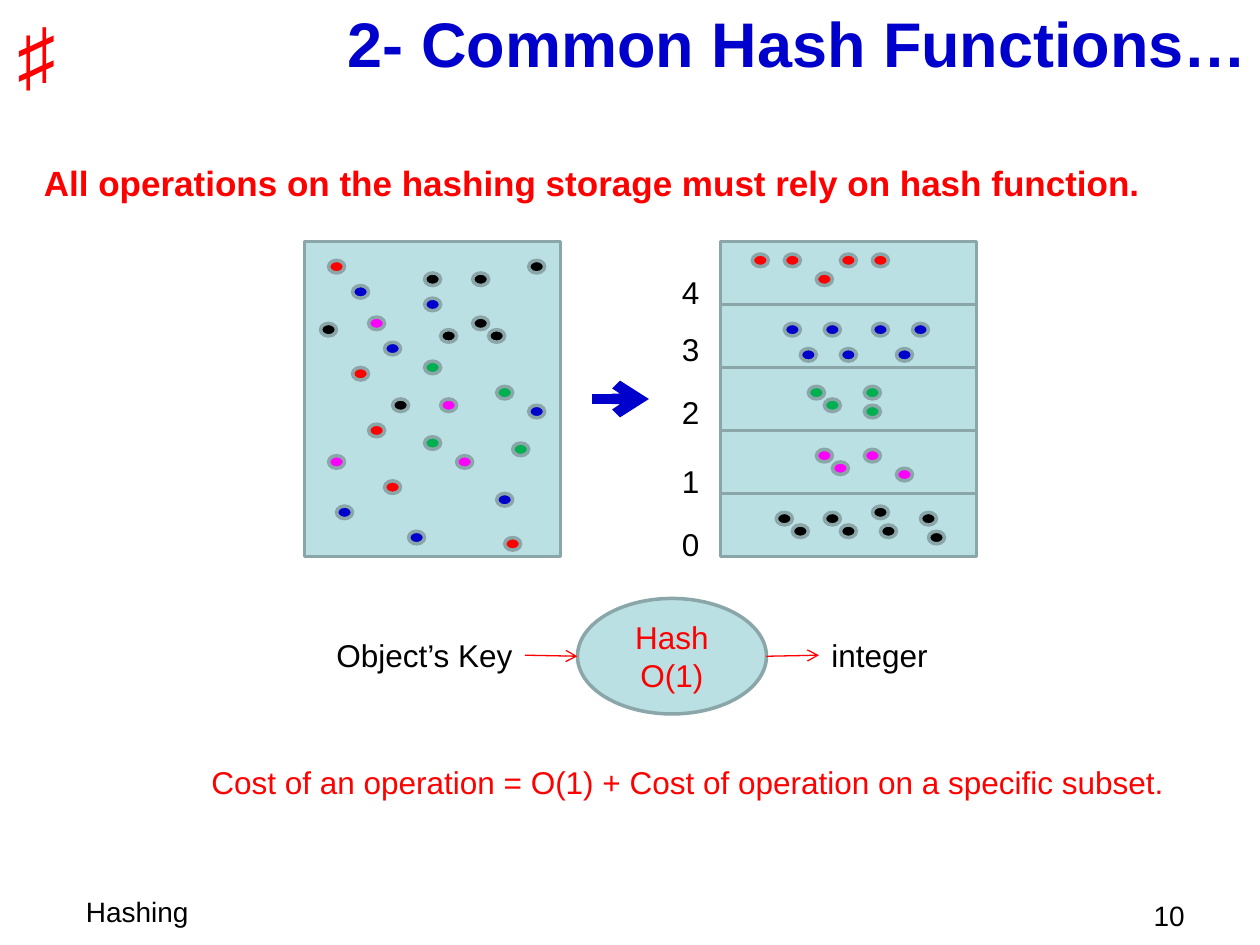
import typing
from dataclasses import dataclass

import lxml.etree
import pptx
import pptx.dml.color
import pptx.enum.shapes
import pptx.enum.text
import pptx.oxml.ns
import pptx.util

RGBColor = pptx.dml.color.RGBColor
Shape = pptx.enum.shapes.MSO_SHAPE
Align = pptx.enum.text.PP_ALIGN
Anchor = pptx.enum.text.MSO_ANCHOR

RED = RGBColor(0xFF, 0x00, 0x00)
BLUE = RGBColor(0x00, 0x00, 0xCC)
GREEN = RGBColor(0x00, 0xB0, 0x50)
MAGENTA = RGBColor(0xFF, 0x00, 0xFF)
BLACK = RGBColor(0x00, 0x00, 0x00)
PALE = RGBColor(0xBB, 0xE0, 0xE3)
OUTLINE = RGBColor(0x8A, 0xA6, 0xA8)

SLIDE_COLS, SLIDE_ROWS = 120, 90
CELL = pptx.util.Inches(10) / SLIDE_COLS

STORE_TOP, STORE_WIDTH, STORE_HEIGHT = 23, 24.4, 30
UNSORTED_LEFT, BUCKETS_LEFT = 29, 68.6
DOT_COL, DOT_ROW = STORE_WIDTH / 32, STORE_HEIGHT / 50


@dataclass(frozen=True)
class Area:
    col: float
    row: float
    cols: float
    rows: float

    def lengths(self) -> list[int]:
        return [grid(n) for n in (self.col, self.row, self.cols, self.rows)]


@dataclass(frozen=True)
class Style:
    size: int
    color: RGBColor = BLACK
    align: Align = Align.LEFT
    bold: bool = False
    font: str = "Arial"


@dataclass(frozen=True)
class Bucket:
    key: str
    key_row: float
    color: RGBColor
    scattered: tuple
    collected: tuple


BUCKETS = (
    Bucket("4", 25.4, RED,
           ((3, 3), (6, 20), (8, 29), (10, 38), (25, 47)),
           ((12, 5), (8, 2), (4, 2), (15, 2), (19, 2))),
    Bucket("3", 30.8, BLUE,
           ((6, 7), (28, 26), (13, 46), (4, 42), (24, 40), (15, 9), (10, 16)),
           ((8, 3), (19, 3), (15, 7), (22, 7), (24, 3), (10, 7), (13, 3))),
    Bucket("2", 36.8, GREEN,
           ((15, 19), (15, 31), (24, 23), (26, 32)),
           ((11, 3), (18, 3), (13, 5), (18, 6))),
    Bucket("1", 43.4, MAGENTA,
           ((8, 12), (3, 34), (17, 25), (19, 34)),
           ((12, 3), (18, 3), (14, 5), (22, 6))),
    Bucket("0", 49.4, BLACK,
           ((2, 13), (11, 25), (15, 5), (17, 14), (28, 3), (21, 12), (21, 5), (23, 14)),
           ((7, 3), (25, 3), (9, 5), (26, 6), (13, 3), (19, 2), (15, 5), (20, 5))),
)


def grid(cells: float) -> int:
    return round(cells * CELL)


def write(frame: typing.Any, lines: typing.Sequence[str], style: Style,
          anchor: Anchor = Anchor.TOP) -> None:
    frame.word_wrap = True
    frame.auto_size = pptx.enum.text.MSO_AUTO_SIZE.NONE
    frame.vertical_anchor = anchor
    for index, line in enumerate(lines):
        paragraph = frame.add_paragraph() if index else frame.paragraphs[0]
        paragraph.alignment = style.align
        run = paragraph.add_run()
        run.text = line
        run.font.name = style.font
        run.font.size = pptx.util.Pt(style.size)
        run.font.bold = style.bold
        run.font.color.rgb = style.color


def add_label(shapes: typing.Any, area: Area, text: str, style: Style) -> typing.Any:
    label = shapes.add_textbox(*area.lengths())
    write(label.text_frame, [text], style)
    return label


def add_outlined(shapes: typing.Any, kind: Shape, area: Area, fill: RGBColor) -> typing.Any:
    outlined = shapes.add_shape(kind, *area.lengths())
    outlined.shadow.inherit = False
    outlined.fill.solid()
    outlined.fill.fore_color.rgb = fill
    outlined.line.color.rgb = OUTLINE
    outlined.line.width = pptx.util.Pt(2)
    return outlined


def add_dots(shapes: typing.Any, left: float, top: float, spots: tuple, color: RGBColor) -> None:
    for col, row in spots:
        area = Area(left + col * DOT_COL, top + row * DOT_ROW, 2 * DOT_COL, 2 * DOT_ROW)
        add_outlined(shapes, Shape.OVAL, area, color)


def add_arrow(shapes: typing.Any, start: tuple, end: tuple, color: RGBColor,
              width: float) -> typing.Any:
    arrow = shapes.add_connector(pptx.enum.shapes.MSO_CONNECTOR.STRAIGHT,
                                 *(grid(n) for n in (*start, *end)))
    arrow.line.color.rgb = color
    arrow.line.width = pptx.util.Pt(width)
    qn = pptx.oxml.ns.qn
    lxml.etree.SubElement(arrow.line._get_or_add_ln(), qn("a:tailEnd"), type="arrow")
    lxml.etree.SubElement(arrow._element.spPr, qn("a:effectLst"))
    return arrow


def draw_storage(shapes: typing.Any) -> None:
    add_outlined(shapes, Shape.RECTANGLE,
                 Area(UNSORTED_LEFT, STORE_TOP, STORE_WIDTH, STORE_HEIGHT), PALE)
    bucket_height = STORE_HEIGHT / len(BUCKETS)
    for index, bucket in enumerate(BUCKETS):
        top = STORE_TOP + index * bucket_height
        add_outlined(shapes, Shape.RECTANGLE,
                     Area(BUCKETS_LEFT, top, STORE_WIDTH, bucket_height), PALE)
        add_dots(shapes, BUCKETS_LEFT, top, bucket.collected, bucket.color)
        add_dots(shapes, UNSORTED_LEFT, STORE_TOP, bucket.scattered, bucket.color)
        add_label(shapes, Area(63.2, bucket.key_row, 4.6, 3), bucket.key,
                  Style(18, align=Align.RIGHT))
    add_arrow(shapes, (56.4, 38), (61.8, 38), BLUE, 6)


def draw_hash_flow(shapes: typing.Any) -> None:
    key = add_label(shapes, Area(29, 60, 21, 4.8), "Object’s Key", Style(18, align=Align.RIGHT))
    hashing = add_outlined(shapes, Shape.OVAL, Area(55, 57, 18, 11), PALE)
    write(hashing.text_frame, ["Hash", "O(1)"], Style(18, RED, Align.CENTER), Anchor.MIDDLE)
    integer = add_label(shapes, Area(78, 60, 13, 4.8), "integer", Style(18))
    add_arrow(shapes, (50, 62.4), (55, 62.5), RED, 0.75).begin_connect(key, 3)
    add_arrow(shapes, (73, 62.5), (78, 62.4), RED, 0.75).end_connect(integer, 1)


def main() -> None:
    deck = pptx.Presentation()
    deck.slide_width, deck.slide_height = grid(SLIDE_COLS), grid(SLIDE_ROWS)
    slide = deck.slides.add_slide(deck.slide_layouts[5])
    shapes = slide.shapes

    title = shapes.title
    title.left, title.top, title.width, title.height = Area(12, 0, 108, 8).lengths()
    write(title.text_frame, ["2- Common Hash Functions…"],
          Style(36, BLUE, Align.RIGHT, bold=True), Anchor.MIDDLE)

    add_label(shapes, Area(7, 84.6, 68, 4.4), "Hashing", Style(16))
    add_label(shapes, Area(0, 0, 7, 10), "♯",
              Style(44, RED, Align.CENTER, font="Times New Roman"))
    add_label(shapes, Area(106, 85, 8, 3), "10", Style(16, align=Align.RIGHT))
    add_label(shapes, Area(3, 14.8, 114, 5.3),
              "All operations on the hashing storage must rely on hash function.",
              Style(20, RED, bold=True))

    draw_storage(shapes.add_group_shape().shapes)
    draw_hash_flow(shapes.add_group_shape().shapes)

    add_label(shapes, Area(17, 72.1, 97, 4.8),
              "Cost of an operation = O(1) + Cost of operation on a specific subset.",
              Style(18, RED, Align.CENTER))
    deck.save("out.pptx")


if __name__ == "__main__":
    main()
